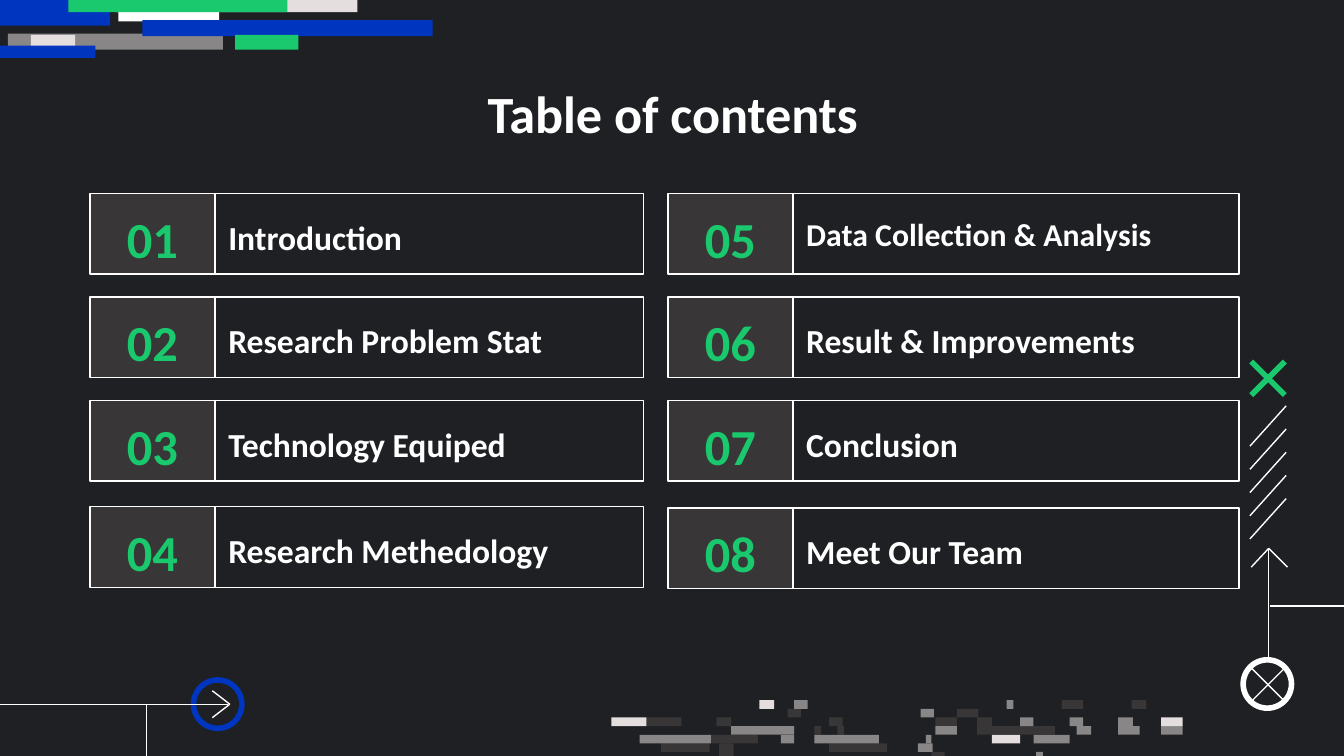
import pptx
import pptx.dml.color
import pptx.enum.shapes
import pptx.enum.text
import pptx.oxml.ns
import pptx.util
from lxml import etree

Inches = pptx.util.Inches
RGBColor = pptx.dml.color.RGBColor
Shape = pptx.enum.shapes.MSO_SHAPE
Align = pptx.enum.text.PP_ALIGN

NIGHT = RGBColor(0x1E, 0x20, 0x24)
CHARCOAL = RGBColor(0x38, 0x36, 0x36)
GRAY = RGBColor(0x88, 0x86, 0x86)
PALE = RGBColor(0xE5, 0xDE, 0xDE)
WHITE = RGBColor(0xFF, 0xFF, 0xFF)
BLUE = RGBColor(0x00, 0x36, 0xBF)
GREEN = RGBColor(0x1A, 0xC9, 0x6D)

FONT = "Calibri"
PAGE_WIDTH = 10
PAGE_HEIGHT = PAGE_WIDTH * 9 / 16
ROW_HEIGHT = 0.6
NUMBER_WIDTH = 0.93

COLUMNS = [
    (0.67, 3.19, [1.44, 2.21, 2.98, 3.77],
     ["Introduction", "Research Problem Stat", "Technology Equiped", "Research Methedology"]),
    (4.97, 3.32, [1.44, 2.21, 2.98, 3.78],
     ["Data Collection & Analysis", "Result & Improvements", "Conclusion", "Meet Our Team"]),
]

BARS = [
    (0.06, 0.25, 1.6, 0.12, GRAY),
    (0.23, 0.26, 0.33, 0.11, PALE),
    (0.88, 0.08, 0.75, 0.08, WHITE),
    (0.86, 0, 1.8, 0.09, PALE),
    (0, 0.34, 0.71, 0.09, BLUE),
    (1.06, 0.15, 2.16, 0.12, BLUE),
    (0, 0, 0.82, 0.19, BLUE),
    (1.75, 0.26, 0.47, 0.11, GREEN),
    (0.51, 0, 1.63, 0.09, GREEN),
]

MOSAIC_TOP, MOSAIC_BOTTOM, MOSAIC_ROWS = 5.21, 5.66, 7
MOSAIC_STEP = (MOSAIC_BOTTOM - MOSAIC_TOP) / MOSAIC_ROWS
MOSAIC = [
    (CHARCOAL, [
        [(7.9, 0.16), (8.42, 0.11)],
        [(5.86, 0.1), (7.12, 0.16)],
        [(4.8, 0.27), (5.33, 0.11), (6.17, 0.1), (6.96, 0.16), (7.27, 0.11)],
        [(6.06, 0.05), (6.23, 0.05), (7.27, 0.11), (7.38, 0.47)],
        [(5.28, 0.36)],
        [(4.92, 0.36), (5.35, 0.11), (6.17, 0.43)],
        [(5.35, 0.11), (6.93, 0.1)],
    ]),
    (GRAY, [
        [(5.91, 0.1), (7.49, 0.05)],
        [(6.85, 0.1)],
        [(7.59, 0.1), (7.96, 0.1), (8.32, 0.11)],
        [(5.44, 0.47), (6.96, 0.16), (8.01, 0.11), (8.32, 0.16), (8.64, 0.16)],
        [(4.76, 0.53), (5.81, 0.1), (6.06, 0.48), (6.89, 0.04), (7.69, 0.27)],
        [(6.83, 0.11)],
        [(7.71, 0.05)],
    ]),
    (PALE, [
        [(5.65, 0.11)],
        [],
        [(4.55, 0.26), (8.64, 0.16)],
        [],
        [(7.38, 0.21)],
    ]),
]


def add_box(page, kind, left, top, width, height, fill=None, line=None, weight=0.75):
    box = page.shapes.add_shape(kind, Inches(left), Inches(top), Inches(width), Inches(height))
    box.shadow.inherit = False
    if fill is None:
        box.fill.background()
    else:
        box.fill.solid()
        box.fill.fore_color.rgb = fill
    if line is None:
        box.line.fill.background()
    else:
        box.line.color.rgb = line
        box.line.width = pptx.util.Pt(weight)
    return box


def add_line(page, x1, y1, x2, y2, color=WHITE, weight=0.75):
    line = page.shapes.add_connector(
        pptx.enum.shapes.MSO_CONNECTOR.STRAIGHT,
        Inches(x1), Inches(y1), Inches(x2), Inches(y2))
    line.line.color.rgb = color
    line.line.width = pptx.util.Pt(weight)
    etree.SubElement(line._element.spPr, pptx.oxml.ns.qn("a:effectLst"))


def add_cross(page, left, top, size, color, weight):
    add_line(page, left, top, left + size, top + size, color, weight)
    add_line(page, left + size, top, left, top + size, color, weight)


def write_text(box, text, size, color, align, spacing=1.15):
    frame = box.text_frame
    frame.text = text
    frame.word_wrap = True
    frame.auto_size = pptx.enum.text.MSO_AUTO_SIZE.NONE
    frame.vertical_anchor = pptx.enum.text.MSO_ANCHOR.MIDDLE
    frame.margin_left = frame.margin_right = Inches(0.1)
    frame.margin_top = frame.margin_bottom = Inches(0.1)
    para = frame.paragraphs[0]
    para.alignment = align
    para.line_spacing = spacing
    font = para.runs[0].font
    font.name = FONT
    font.size = pptx.util.Pt(size)
    font.bold = True
    font.color.rgb = color


def add_title(page, text):
    title = page.shapes.title
    title.left, title.top = Inches(0.79), Inches(0.45)
    title.width, title.height = Inches(8.43), Inches(0.7)
    title.fill.solid()
    title.fill.fore_color.rgb = NIGHT
    write_text(title, text, 28, WHITE, Align.CENTER)


def add_entry(page, left, top, width, number, text):
    box = add_box(page, Shape.RECTANGLE, left, top, NUMBER_WIDTH, ROW_HEIGHT, CHARCOAL, WHITE)
    write_text(box, f"{number:02d}", 27, GREEN, Align.CENTER)
    box = add_box(page, Shape.RECTANGLE, left + NUMBER_WIDTH, top, width, ROW_HEIGHT, line=WHITE)
    size, spacing = (17, 1) if number == 5 else (18, 1.15)
    write_text(box, text, size, WHITE, Align.LEFT, spacing)


def add_contents(page):
    number = 1
    for left, width, tops, names in COLUMNS:
        for top, name in zip(tops, names):
            add_entry(page, left, top, width, number, name)
            number += 1


def add_mosaic(page):
    for color, rows in MOSAIC:
        for row, tiles in enumerate(rows):
            top = MOSAIC_TOP + row * MOSAIC_STEP
            height = min(MOSAIC_STEP, PAGE_HEIGHT - top)
            for left, width in tiles:
                add_box(page, Shape.RECTANGLE, left, top, width, height, color)


def add_left_arrow(page):
    add_line(page, 1.09, 5.24, 1.09, PAGE_HEIGHT)
    add_box(page, Shape.OVAL, 1.44, 5.06, 0.36, 0.36, line=BLUE, weight=3)
    for end in (5.14, 5.34):
        add_line(page, 1.71, 5.24, 1.58, end)
    add_line(page, 1.7, 5.24, 1.44, 5.24)
    add_line(page, 1.44, 5.24, 0, 5.24)


def add_right_arrow(page):
    for step in range(5):
        top = 3.02 + step * 0.69 / 4
        add_line(page, 9.57, top, 9.3, top + 0.3)
    add_cross(page, 9.31, 2.69, 0.25, GREEN, 3)
    add_box(page, Shape.OVAL, 9.25, 4.91, 0.36, 0.36, line=WHITE, weight=3)
    add_cross(page, 9.31, 4.97, 0.25, WHITE, 0.75)
    for end in (9.31, 9.58):
        add_line(page, 9.44, 4.08, end, 4.22)
    add_line(page, 9.44, 4.9, 9.44, 4.08)
    add_line(page, 9.45, 4.51, PAGE_WIDTH, 4.51)


def main():
    deck = pptx.Presentation()
    deck.slide_width = Inches(PAGE_WIDTH)
    deck.slide_height = Inches(PAGE_HEIGHT)
    page = deck.slides.add_slide(deck.slide_layouts[5])
    page.background.fill.solid()
    page.background.fill.fore_color.rgb = NIGHT
    add_mosaic(page)
    for left, top, width, height, color in BARS:
        add_box(page, Shape.RECTANGLE, left, top, width, height, color)
    add_left_arrow(page)
    add_right_arrow(page)
    add_title(page, "Table of contents")
    add_contents(page)
    deck.save("out.pptx")


if __name__ == "__main__":
    main()
